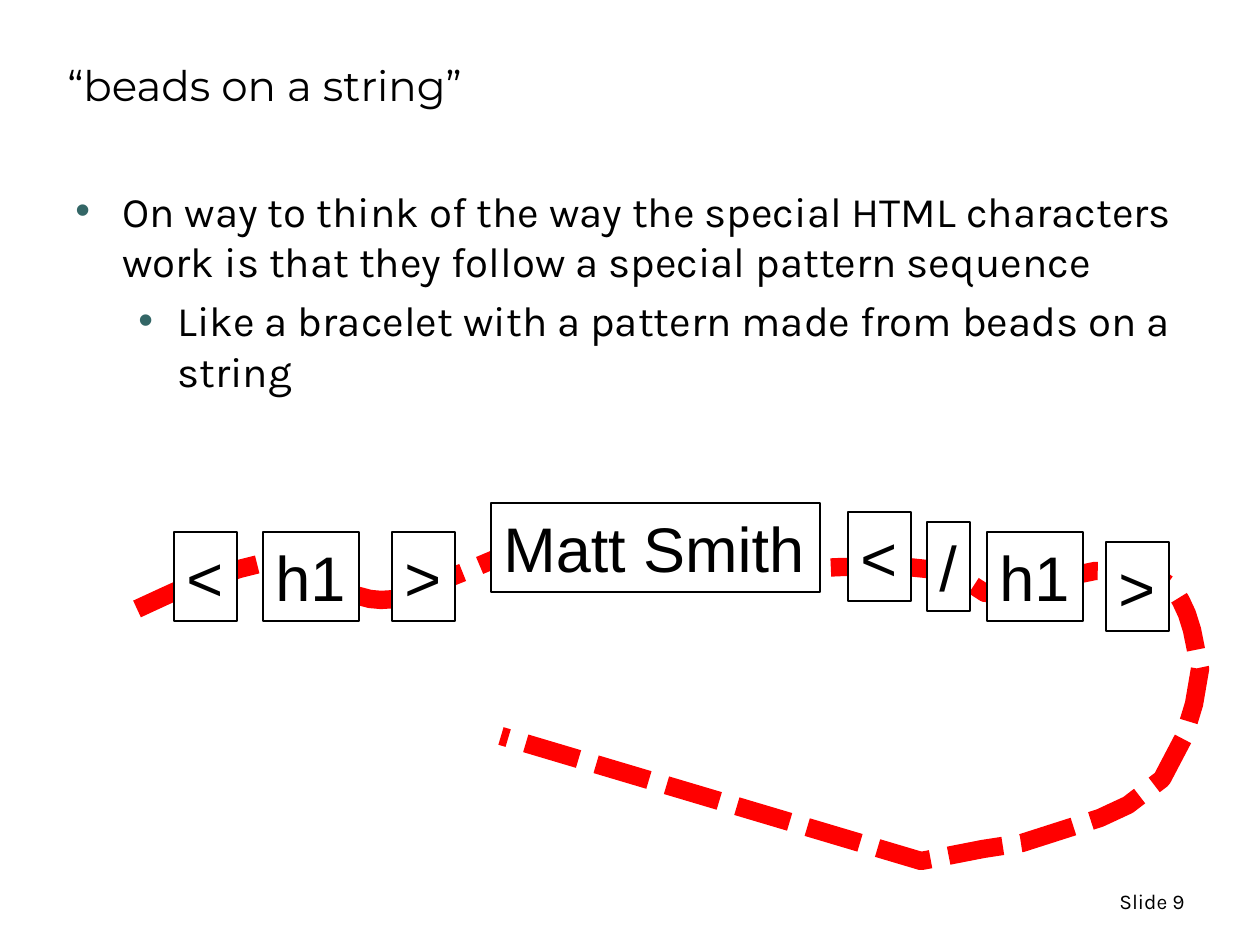
"""Build the "beads on a string" slide."""
from dataclasses import dataclass

import pptx
import pptx.dml.color
import pptx.enum.dml
import pptx.enum.shapes
import pptx.enum.text
import pptx.oxml.ns
import pptx.util
from lxml import etree
from pptx.shapes.base import BaseShape
from pptx.slide import Slide

SCALE = 914400 / 126
ALIGN = pptx.enum.text.PP_ALIGN
ANCHOR = pptx.enum.text.MSO_ANCHOR


@dataclass(frozen=True)
class Theme:
    ink: str = "000000"
    paper: str = "FFFFFF"
    string: str = "FF0000"
    bullet: str = "336666"
    title_font: str = "Montserrat"
    body_font: str = "Karla"
    bead_font: str = "Arial"
    text_size: int = 24
    bead_size: int = 36
    number_size: int = 12
    string_width: float = 10.5
    outline_width: float = 0.75


@dataclass(frozen=True)
class Bead:
    text: str
    left: int
    top: int
    width: int
    height: int = 89


@dataclass(frozen=True)
class Bullet:
    text: str
    level: int
    margin: int
    hanging: int
    space_before: int


THEME = Theme()

BEADS = (
    Bead("<", 174, 532, 63),
    Bead("h1", 263, 532, 96),
    Bead(">", 392, 532, 63),
    Bead("/", 927, 522, 43),
    Bead("h1", 987, 532, 96),
    Bead(">", 1106, 542, 63),
    Bead("<", 848, 512, 63),
    Bead("Matt Smith", 491, 503, 329),
)

BULLETS = (
    Bullet("On way to think of the way the special HTML characters work is "
           "that they follow a special pattern sequence", 0, 47, 47, 0),
    Bullet("Like a bracelet with a pattern made from beads on a string",
           1, 102, 39, 5),
)

STRING_POINTS = (
    (137, 609), (163, 597), (185, 587), (217, 577), (239, 569), (263, 563),
    (278, 561), (292, 562), (307, 568), (320, 573), (331, 581), (344, 588),
    (355, 595), (370, 599), (381, 600), (397, 599), (418, 592), (435, 586),
    (449, 578), (469, 570), (514, 551), (537, 542), (562, 537), (611, 541),
    (633, 549), (659, 562), (675, 570), (696, 576), (733, 583), (785, 582),
    (801, 576), (820, 568), (843, 567), (907, 567), (946, 571), (968, 582),
    (985, 593), (993, 592), (1007, 590), (1032, 586), (1061, 578),
    (1095, 571), (1150, 572), (1163, 581), (1173, 588), (1181, 601),
    (1187, 614), (1192, 630), (1196, 650), (1200, 669), (1194, 704),
    (1184, 737), (1162, 779), (1128, 805), (1100, 818), (1022, 843),
    (983, 849), (932, 859), (921, 861), (501, 736),
)


def px(length: int) -> int:
    """Turn pixels into EMU."""
    return round(length * SCALE)


def rgb(value: str) -> pptx.dml.color.RGBColor:
    """Turn a hex string into a colour."""
    return pptx.dml.color.RGBColor.from_string(value)


def write(para, text: str, *, font: str, size: int, align=ALIGN.LEFT) -> None:
    """Write one formatted span into a paragraph."""
    para.alignment = align
    span = para.add_run()
    span.text = text
    span.font.name = font
    span.font.size = pptx.util.Pt(size)
    span.font.color.rgb = rgb(THEME.ink)


def add_box(page: Slide, left: int, top: int, width: int, height: int,
            anchor=ANCHOR.TOP) -> BaseShape:
    """Add an empty wrapping text box."""
    box = page.shapes.add_textbox(px(left), px(top), px(width), px(height))
    box.text_frame.word_wrap = True
    box.text_frame.vertical_anchor = anchor
    return box


def add_bullet_mark(para, bullet: Bullet) -> None:
    """Give a paragraph its hanging indent and coloured bullet."""
    properties = para._p.get_or_add_pPr()
    properties.set("marL", str(px(bullet.margin)))
    properties.set("indent", str(-px(bullet.hanging)))
    name = pptx.oxml.ns.qn
    colour = etree.SubElement(properties, name("a:buClr"))
    etree.SubElement(colour, name("a:srgbClr"), val=THEME.bullet)
    etree.SubElement(properties, name("a:buFont"), typeface=THEME.bead_font)
    etree.SubElement(properties, name("a:buChar"), char="•")


def draw_bullets(page: Slide) -> None:
    """Draw the bulleted text."""
    frame = add_box(page, 63, 179, 1126, 656).text_frame
    for index, bullet in enumerate(BULLETS):
        para = frame.add_paragraph() if index else frame.paragraphs[0]
        para.level = bullet.level
        para.space_before = pptx.util.Pt(bullet.space_before)
        add_bullet_mark(para, bullet)
        write(para, bullet.text, font=THEME.body_font, size=THEME.text_size)


def draw_string(page: Slide) -> None:
    """Draw the dashed string."""
    start, *others = STRING_POINTS
    builder = page.shapes.build_freeform(*start, scale=SCALE)
    builder.add_line_segments(others, close=False)
    string = builder.convert_to_shape()
    string.shadow.inherit = False
    string.fill.background()
    string.line.color.rgb = rgb(THEME.string)
    string.line.width = pptx.util.Pt(THEME.string_width)
    string.line.dash_style = pptx.enum.dml.MSO_LINE.SQUARE_DOT
    string.line._ln.prstDash.set("val", "sysDash")


def draw_bead(page: Slide, bead: Bead) -> None:
    """Draw one framed bead."""
    box = page.shapes.add_shape(
        pptx.enum.shapes.MSO_SHAPE.RECTANGLE,
        px(bead.left), px(bead.top), px(bead.width), px(bead.height))
    box.shadow.inherit = False
    box.fill.solid()
    box.fill.fore_color.rgb = rgb(THEME.paper)
    box.line.color.rgb = rgb(THEME.ink)
    box.line.width = pptx.util.Pt(THEME.outline_width)
    frame = box.text_frame
    frame.word_wrap = False
    frame.auto_size = pptx.enum.text.MSO_AUTO_SIZE.SHAPE_TO_FIT_TEXT
    frame.vertical_anchor = ANCHOR.TOP
    write(frame.paragraphs[0], bead.text,
          font=THEME.bead_font, size=THEME.bead_size)


def main() -> None:
    """Build and save the deck."""
    deck = pptx.Presentation()
    deck.slide_width, deck.slide_height = px(1260), px(945)
    page = deck.slides.add_slide(deck.slide_layouts[6])
    draw_string(page)
    title = add_box(page, 55, 32, 1071, 84, ANCHOR.BOTTOM)
    write(title.text_frame.paragraphs[0], "“beads on a string”",
          font=THEME.title_font, size=THEME.text_size)
    draw_bullets(page)
    for bead in BEADS:
        draw_bead(page, bead)
    number = add_box(page, 903, 876, 294, 50, ANCHOR.MIDDLE)
    write(number.text_frame.paragraphs[0], "Slide 9", font=THEME.body_font,
          size=THEME.number_size, align=ALIGN.RIGHT)
    deck.save("out.pptx")


if __name__ == "__main__":
    main()
